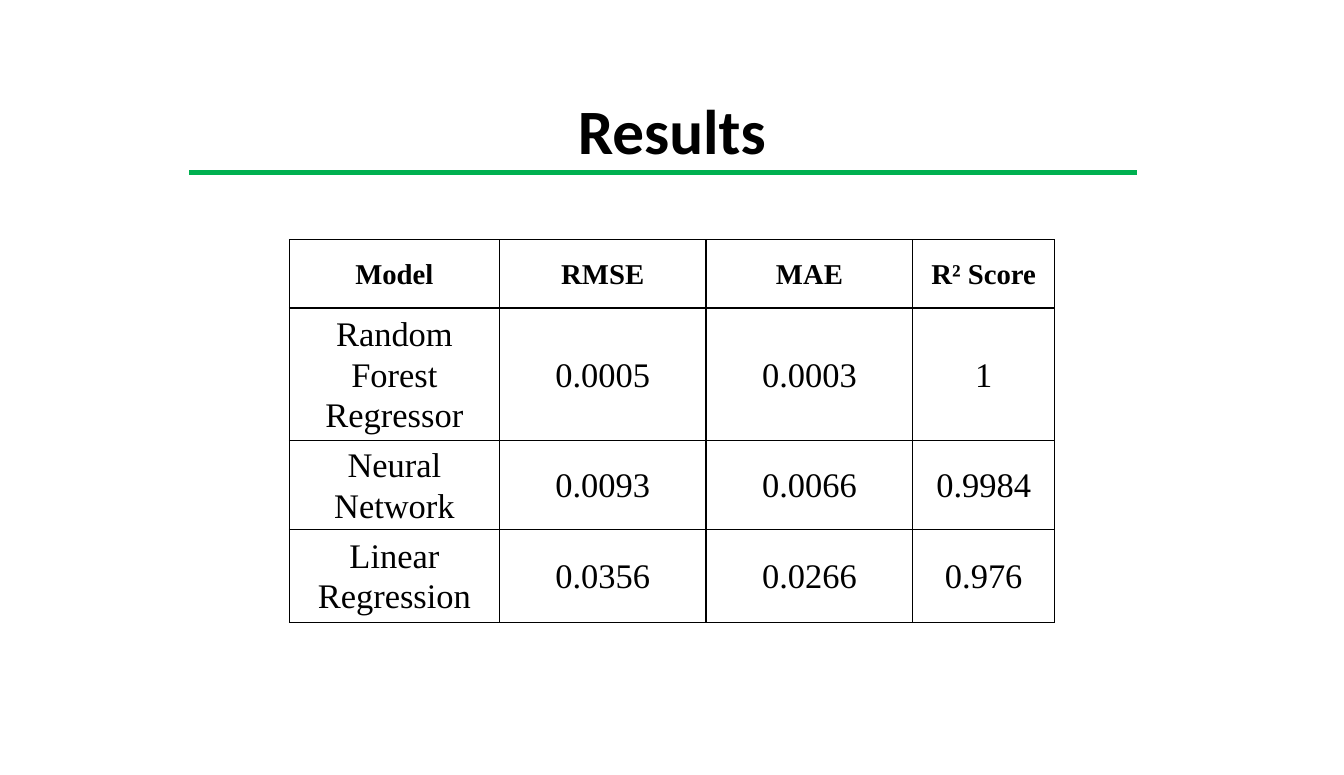
from lxml import etree
from pptx import Presentation, util as u
from pptx.dml.color import RGBColor
from pptx.enum import shapes, text
from pptx.oxml import ns

COLORS = {"ink": "000000", "rule": "00B050"}
ink = RGBColor.from_string(COLORS["ink"])

results = [
    ["Model", "RMSE", "MAE", "R² Score"],
    ["Random Forest Regressor", "0.0005", "0.0003", "1"],
    ["Neural Network", "0.0093", "0.0066", "0.9984"],
    ["Linear Regression", "0.0356", "0.0266", "0.976"],
]
column_widths = [2.03, 2, 2, 1.37]
row_heights = [0.66, 0.9, 0.64, 0.9]


def format_paragraph(paragraph, face, size, bold):
    paragraph.alignment = text.PP_ALIGN.CENTER
    paragraph.font.name = face
    paragraph.font.size = u.Pt(size)
    paragraph.font.bold = bold
    paragraph.font.color.rgb = ink


def add_borders(cell):
    properties = cell._tc.get_or_add_tcPr()
    for position, side in enumerate(("lnL", "lnR", "lnT", "lnB")):
        border = etree.Element(ns.qn(f"a:{side}"), w=str(u.Pt(1)))
        fill = etree.SubElement(border, ns.qn("a:solidFill"))
        etree.SubElement(fill, ns.qn("a:srgbClr"), val=COLORS["ink"])
        properties.insert(position, border)


deck = Presentation()
deck.slide_width, deck.slide_height = u.Inches(13), u.Inches(7.5)
W, H = deck.slide_width, deck.slide_height
slide = deck.slides.add_slide(deck.slide_layouts[6])

rule_y = u.Inches(1.67)
title_rule = slide.shapes.add_connector(
    shapes.MSO_CONNECTOR.STRAIGHT, u.Inches(1.83), rule_y, u.Inches(11), rule_y)
title_rule.line.color.rgb = RGBColor.from_string(COLORS["rule"])
title_rule.line.width = u.Pt(3.25)
etree.SubElement(title_rule._element.spPr, ns.qn("a:effectLst"))

title = slide.shapes.add_textbox(int(W * 0.05), u.Inches(0.63), int(W * 0.9), H // 6)
title.text_frame.word_wrap = True
title.text_frame.vertical_anchor = text.MSO_ANCHOR.MIDDLE
heading = title.text_frame.paragraphs[0]
heading.text = "Results"
format_paragraph(heading, "Calibri", 44, True)

table_height = u.Inches(3.65)
scores = slide.shapes.add_table(
    len(results), len(column_widths), u.Inches(2.8), u.Inches(2.32),
    u.Inches(sum(column_widths)), table_height)
grid = scores.table
grid.horz_banding = False
for column, width in zip(grid.columns, column_widths):
    column.width = u.Inches(width)
for row, height in zip(grid.rows, row_heights):
    row.height = u.Inches(height)
scores.height = table_height

for r, model_scores in enumerate(results):
    is_header = r == 0
    for c, value in enumerate(model_scores):
        cell = grid.cell(r, c)
        cell.fill.background()
        cell.vertical_anchor = text.MSO_ANCHOR.MIDDLE
        cell.margin_left = cell.margin_right = u.Inches(0.07)
        cell.margin_top = cell.margin_bottom = 0
        add_borders(cell)
        entry = cell.text_frame.paragraphs[0]
        entry.text = value
        entry.line_spacing = 1.07
        format_paragraph(entry, "Times New Roman", 20 if is_header else 24, is_header)

deck.save("out.pptx")
